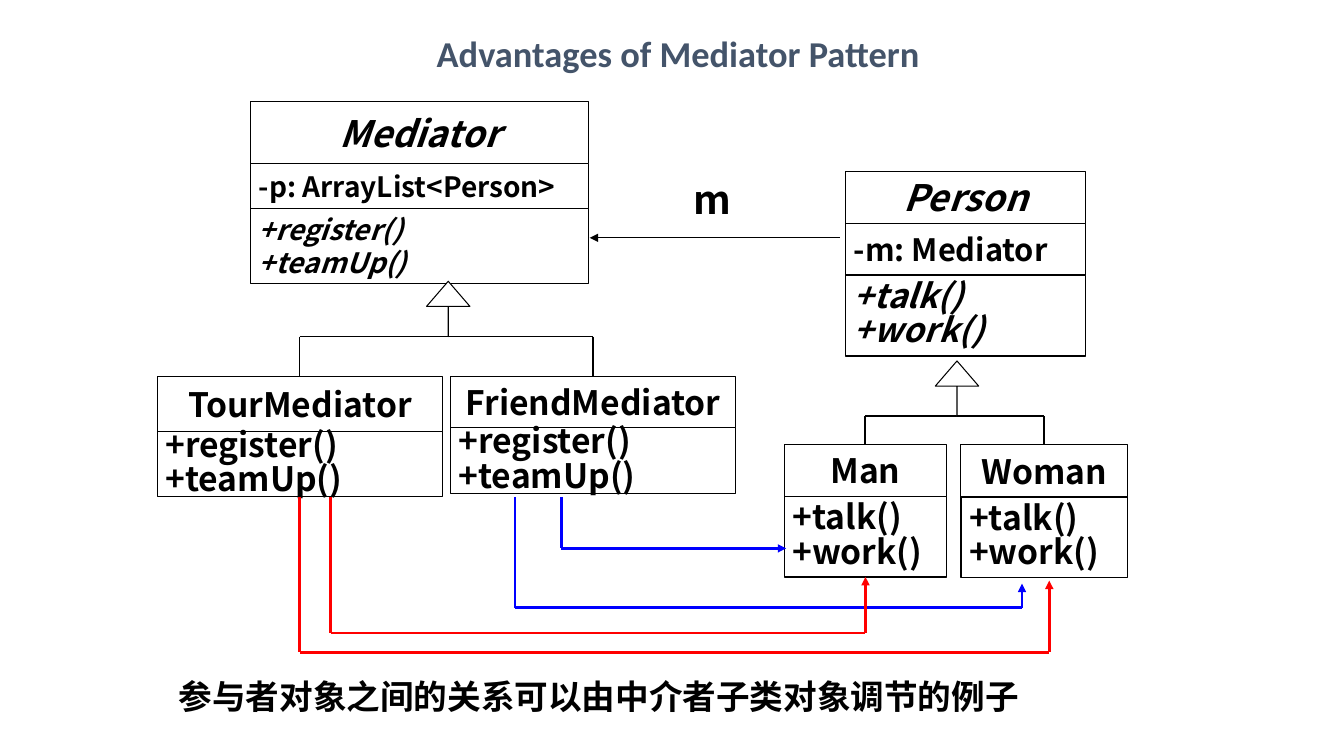
from itertools import pairwise

from lxml.etree import SubElement
from pptx import Presentation
from pptx.dml.color import RGBColor
from pptx.enum.shapes import MSO_CONNECTOR, MSO_SHAPE
from pptx.enum.text import MSO_ANCHOR, MSO_AUTO_SIZE, PP_ALIGN
from pptx.oxml.ns import qn
from pptx.util import Pt

BLACK = RGBColor(0x00, 0x00, 0x00)
WHITE = RGBColor(0xFF, 0xFF, 0xFF)
BLUE = RGBColor(0x00, 0x00, 0xFF)
RED = RGBColor(0xFF, 0x00, 0x00)
SLATE = RGBColor(0x44, 0x54, 0x6A)
FONT = "Noto Sans CJK SC"
CENTER, LEFT, JUSTIFY = PP_ALIGN.CENTER, PP_ALIGN.LEFT, PP_ALIGN.JUSTIFY
BOTTOM, TOP = 2, 0

TITLE = ("Advantages of Mediator Pattern", (160.6, 15.1, 648, 45.4), 26)
LABELS = [
    ("m", (480.2, 121.7, 56.9, 41), 28),
    ("参与者对象之间的关系可以由中介者子类对象调节的例子", (62.6, 479.5, 730, 36), 24),
]

# name: left, top, width, rows of (text, height, size, italic, align, spacing, line)
CLASSES = {
    "Mediator": (179, 72.7, 241.6, [
        ("Mediator", 43.9, 26, True, CENTER, 1, 1),
        ("-p: ArrayList<Person>", 32.4, 20, False, JUSTIFY, 1, 0.75),
        ("+register()\n+teamUp()", 53.3, 20, True, JUSTIFY, 1, 0.75)]),
    "Person": (604.1, 122.4, 171.4, [
        ("Person", 37.2, 26, True, CENTER, 1, 1),
        ("-m: Mediator", 37, 22, False, LEFT, 1, 1),
        ("+talk()\n+work()", 57.6, 24, True, LEFT, 0.85, 1)]),
    "TourMediator": (112.4, 268.6, 203.6, [
        ("TourMediator", 39.6, 24, False, CENTER, 1, 0.75),
        ("+register()\n+teamUp()", 46.8, 24, False, JUSTIFY, 0.85, 0.75)]),
    "FriendMediator": (321.8, 268.6, 203.6, [
        ("FriendMediator", 36.7, 24, False, CENTER, 1, 0.75),
        ("+register()\n+teamUp()", 47.5, 24, False, JUSTIFY, 0.85, 0.75)]),
    "Man": (560.2, 317.5, 116, [
        ("Man", 37, 24, False, CENTER, 1, 0.75),
        ("+talk()\n+work()", 57.6, 24, False, LEFT, 0.85, 1)]),
    "Woman": (686.4, 317.5, 118.8, [
        ("Woman", 37.4, 24, False, CENTER, 1, 0.75),
        ("+talk()\n+work()", 57.6, 24, False, LEFT, 0.85, 1)]),
}

INHERITANCE = [
    (320.2, 200.9, ("TourMediator", "FriendMediator"), 0.75),
    (683.6, 257.8, ("Man", "Woman"), 1.5),
]
ARROW_W, ARROW_H = 31, 39.6

# colour, width, corner points, class joined at the start, class joined at the end
ROUTES = [
    (BLACK, 0.75, [(599.8, 169.9), (421.2, 169.9)], None, None),
    (BLUE, 2, [(401, 355), (401, 391.7), (561.6, 391.7)], None, None),
    (BLUE, 2, [(367.9, 355), (367.9, 434.2), (730, 434.2), (730, 416.9)], None, None),
    (RED, 2, [(236.2, 355), (236.2, 452.2), (618.2, 452.2), (618.2, 412.1)], None, "Man"),
    (RED, 2, [(214.2, 355), (214.2, 465.8), (749.5, 465.8), (749.5, 414.7)], "TourMediator", None),
]


def write(tf, text, size, align, name=FONT, color=BLACK, italic=False, spacing=1):
    tf.text = text
    tf.word_wrap = True
    for p in tf.paragraphs:
        p.alignment = align
        p.line_spacing = spacing
        for r in p.runs:
            f = r.font
            f.size, f.bold, f.italic, f.name = Pt(size), True, italic, name
            f.color.rgb = color
            SubElement(f._element, qn("a:ea"), typeface=name)


def outline(sp, width):
    sp.shadow.inherit = False
    sp.fill.solid()
    sp.fill.fore_color.rgb = WHITE
    sp.line.color.rgb = BLACK
    sp.line.width = Pt(width)


def add_class(shapes, left, top, width, rows):
    boxes = []
    for text, height, size, italic, align, spacing, line in rows:
        sp = shapes.add_shape(MSO_SHAPE.RECTANGLE, Pt(left), Pt(top), Pt(width), Pt(height))
        outline(sp, line)
        tf = sp.text_frame
        tf.margin_left = tf.margin_right = Pt(5.8)
        tf.margin_top = tf.margin_bottom = Pt(2.9)
        tf.vertical_anchor = MSO_ANCHOR.MIDDLE
        write(tf, text, size, align, italic=italic, spacing=spacing)
        boxes.append(sp)
        top += height
    return boxes


def add_line(shapes, start, end, color, width, arrow=False):
    cx = shapes.add_connector(MSO_CONNECTOR.STRAIGHT, *map(Pt, start + end))
    cx.line.color.rgb = color
    cx.line.width = Pt(width)
    if arrow:
        SubElement(cx.line._get_or_add_ln(), qn("a:tailEnd"), type="triangle")
    SubElement(cx._element.spPr, qn("a:effectLst"))
    return cx


prs = Presentation()
prs.slide_width, prs.slide_height = Pt(960), Pt(540)
s = prs.slides.add_slide(prs.slide_layouts[5])
shapes = s.shapes

text, box, size = TITLE
title = shapes.title
title.left, title.top, title.width, title.height = map(Pt, box)
title.text_frame.vertical_anchor = MSO_ANCHOR.MIDDLE
write(title.text_frame, text, size, CENTER, "Calibri", SLATE)

boxes = {name: add_class(shapes, *spec) for name, spec in CLASSES.items()}

for x, top, children, width in INHERITANCE:
    bar_y = top + ARROW_H
    mids = [CLASSES[c][0] + CLASSES[c][2] / 2 for c in children]
    add_line(shapes, (mids[0], bar_y), (mids[1], bar_y), BLACK, width)
    for child, mid in zip(children, mids):
        drop = add_line(shapes, (mid, bar_y), (mid, CLASSES[child][1]), BLACK, width)
        drop.end_connect(boxes[child][0], TOP)
    sp = shapes.add_shape(MSO_SHAPE.UP_ARROW, Pt(x - ARROW_W / 2), Pt(top), Pt(ARROW_W), Pt(ARROW_H))
    sp.adjustments[0], sp.adjustments[1] = 0, 0.58
    outline(sp, 0.75)

for color, width, points, source, target in ROUTES:
    legs = list(pairwise(points))
    lines = [add_line(shapes, a, b, color, width, b == points[-1]) for a, b in legs]
    if source:
        lines[0].begin_connect(boxes[source][-1], BOTTOM)
    if target:
        lines[-1].end_connect(boxes[target][-1], BOTTOM)

for text, box, size in LABELS:
    tf = shapes.add_textbox(*map(Pt, box)).text_frame
    write(tf, text, size, CENTER)
    tf.auto_size = MSO_AUTO_SIZE.SHAPE_TO_FIT_TEXT

prs.save("out.pptx")
